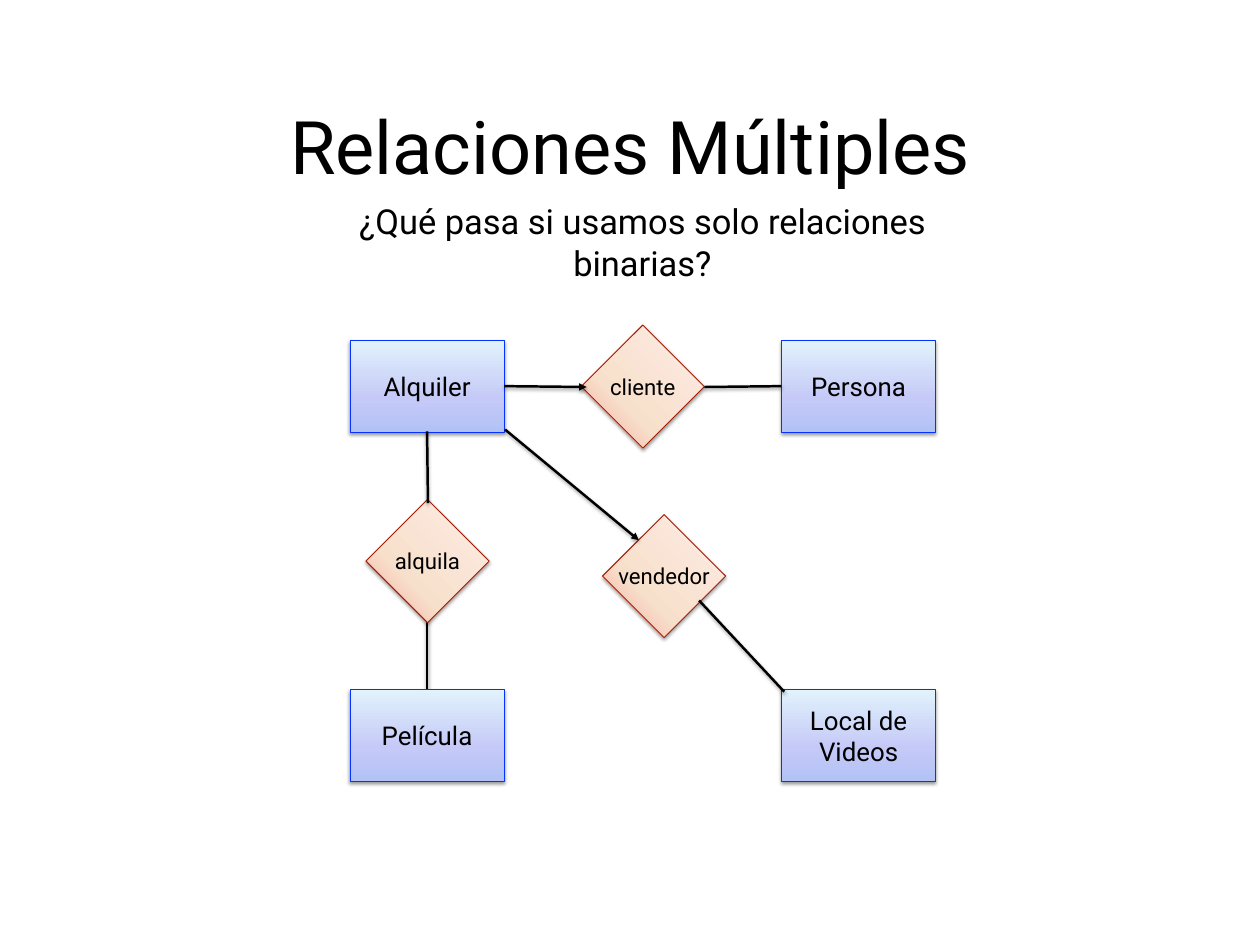
from copy import deepcopy
from dataclasses import dataclass

from pptx import Presentation
from pptx.dml.color import RGBColor
from pptx.enum.shapes import MSO_CONNECTOR, MSO_SHAPE
from pptx.enum.text import MSO_ANCHOR, MSO_AUTO_SIZE, PP_ALIGN
from pptx.oxml import parse_xml
from pptx.oxml.ns import nsdecls, qn
from pptx.util import Emu, Pt

PX = 9144  # 100 px to the inch


@dataclass(frozen=True)
class NodeStyle:
    shape: int
    size: tuple
    stops: tuple
    angle: int
    outline: str
    text_size: int
    wrap: bool


@dataclass(frozen=True)
class Theme:
    font: str = "Roboto"
    ink: str = "000000"
    background: str = "FFFFFF"
    title_size: int = 60
    question_size: int = 28
    outline_width: float = 0.75
    link_width: float = 2
    entity: NodeStyle = NodeStyle(
        MSO_SHAPE.RECTANGLE, (174, 103),
        ((0, "B2C2F5"), (0.36, "C4C9F7"), (1, "E1F2FC")), 90, "0433FF", 21, True)
    relation: NodeStyle = NodeStyle(
        MSO_SHAPE.DIAMOND, (139, 139),
        ((0, "F5A09A"), (0.35, "F7E0CB"), (1, "FFEBE7")), 45, "A01D04", 18, False)


THEME = Theme()

ENTITIES = [("Alquiler", 0, 18), ("Persona", 487, 18),
            ("Película", 0, 412), ("Local de Videos", 487, 412)]
RELATIONS = [("cliente", 261, 0), ("alquila", 18, 197), ("vendedor", 285, 214)]
LINK_BEHIND = ((87, 412), (87, 215), False)  # Película - alquila
LINKS = [
    ((394, 311), (490, 414), False),  # vendedor - Local de Videos
    ((400, 70), (487, 69), False),    # cliente - Persona
    ((88, 201), (87, 120), False),    # alquila - Alquiler
    ((174, 69), (267, 70), True),     # Alquiler - cliente
    ((175, 118), (326, 243), True),   # Alquiler - vendedor
]


def px(*lengths):
    return [Emu(length * PX) for length in lengths]


def color(value):
    return RGBColor.from_string(value)


def write(shape, text, size, inset=0, wrap=True):
    frame = shape.text_frame
    frame.text = text
    frame.word_wrap = wrap
    frame.auto_size = MSO_AUTO_SIZE.NONE
    frame.vertical_anchor = MSO_ANCHOR.MIDDLE
    frame.margin_left, frame.margin_top, frame.margin_right, frame.margin_bottom = px(*[inset] * 4)
    para = frame.paragraphs[0]
    para.alignment = PP_ALIGN.CENTER
    span = para.runs[0]
    span.font.name = THEME.font
    span.font.size = Pt(size)
    span.font.color.rgb = color(THEME.ink)


def drop_shadow(shape):
    shape._element.spPr.append(parse_xml(
        f'<a:effectLst {nsdecls("a")}>'
        '<a:outerShdw blurRad="38100" dist="20320" dir="5400000" rotWithShape="0">'
        f'<a:srgbClr val="{THEME.ink}"><a:alpha val="38000"/></a:srgbClr>'
        '</a:outerShdw></a:effectLst>'))


def fill_gradient(shape, style):
    shape.fill.gradient()
    shape.fill.gradient_angle = style.angle
    stop_list = shape._element.spPr.find(qn("a:gradFill")).find(qn("a:gsLst"))
    stop_list.append(deepcopy(stop_list[0]))
    for stop, (position, value) in zip(shape.fill.gradient_stops, style.stops):
        stop.position = position
        stop.color.rgb = color(value)


def add_title(page, box):
    title = page.shapes.title
    title.left, title.top, title.width, title.height = px(*box)
    write(title, "Relaciones Múltiples", THEME.title_size, inset=6)


def add_question(page, box):
    question = page.shapes.add_textbox(*px(*box))
    write(question, "¿Qué pasa si usamos solo relaciones binarias?", THEME.question_size, inset=6)


def add_node(page, text, left, top, style):
    node = page.shapes.add_shape(style.shape, *px(left, top, *style.size))
    fill_gradient(node, style)
    node.line.color.rgb = color(style.outline)
    node.line.width = Pt(THEME.outline_width)
    drop_shadow(node)
    write(node, text, style.text_size, wrap=style.wrap)


def add_link(page, left, top, start, end, arrow):
    ends = px(left + start[0], top + start[1], left + end[0], top + end[1])
    link = page.shapes.add_connector(MSO_CONNECTOR.STRAIGHT, *ends)
    link.line.color.rgb = color(THEME.ink)
    link.line.width = Pt(THEME.link_width)
    if arrow:
        link._element.spPr.find(qn("a:ln")).append(
            parse_xml(f'<a:tailEnd {nsdecls("a")} type="triangle"/>'))
    drop_shadow(link)


def add_diagram(page, left, top):
    add_link(page, left, top, *LINK_BEHIND)
    for style, nodes in ((THEME.entity, ENTITIES), (THEME.relation, RELATIONS)):
        for text, x, y in nodes:
            add_node(page, text, left + x, top + y, style)
    for link in LINKS:
        add_link(page, left, top, *link)


def main():
    deck = Presentation()
    deck.slide_width, deck.slide_height = px(1422, 1067)
    page = deck.slides.add_slide(deck.slide_layouts.get_by_name("Title Only"))
    page.background.fill.solid()
    page.background.fill.fore_color.rgb = color(THEME.background)
    add_title(page, (214, 109, 994, 109))
    add_question(page, (397, 221, 656, 104))
    add_diagram(page, 395, 367)
    deck.save("out.pptx")


if __name__ == "__main__":
    main()
